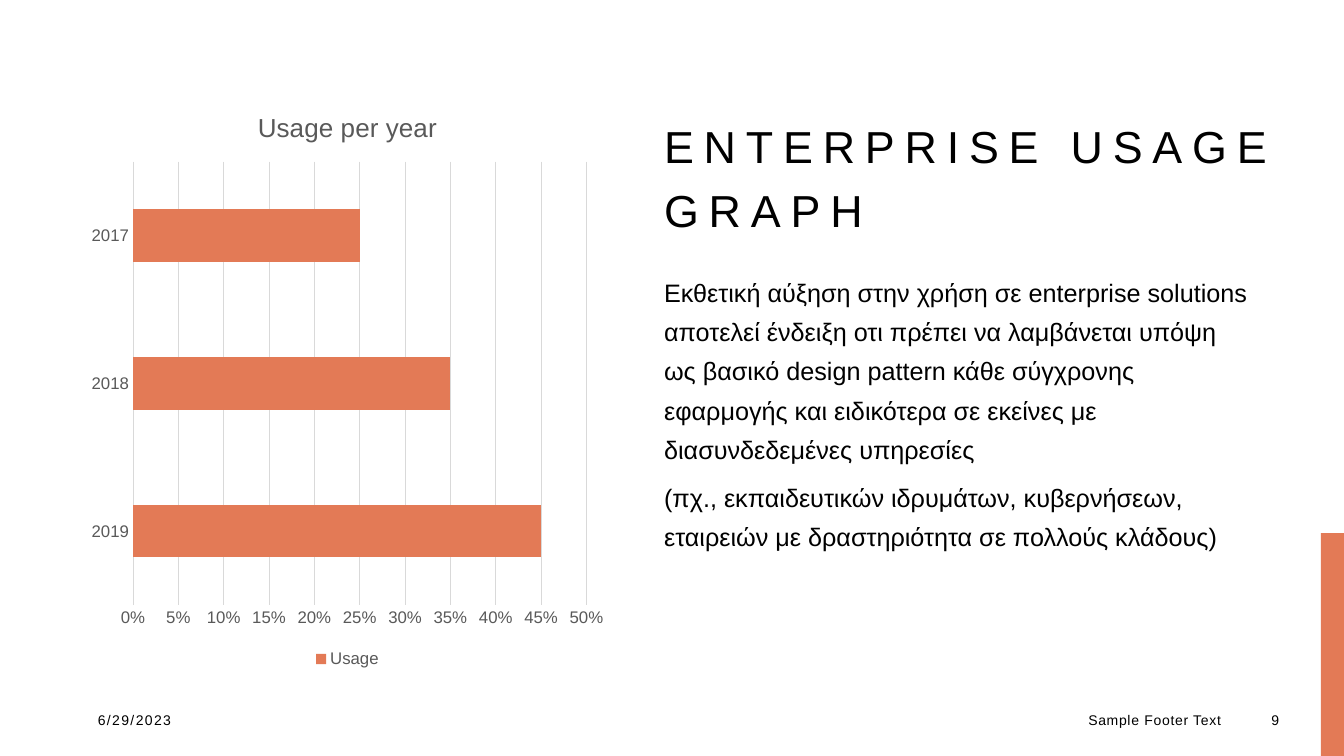
from dataclasses import dataclass

from lxml import etree
from pptx import Presentation
from pptx import util as u
from pptx.chart import data
from pptx.dml.color import RGBColor
from pptx.enum import chart as ch, shapes, text
from pptx.oxml.ns import qn

HEADING = "ENTERPRISE USAGE GRAPH"
EXPLANATION = [
    "Εκθετική αύξηση στην χρήση σε enterprise solutions αποτελεί ένδειξη οτι "
    "πρέπει να λαμβάνεται υπόψη ως βασικό design pattern κάθε σύγχρονης "
    "εφαρμογής και ειδικότερα σε εκείνες με διασυνδεδεμένες υπηρεσίες",
    "(πχ., εκπαιδευτικών ιδρυμάτων, κυβερνήσεων, εταιρειών με δραστηριότητα "
    "σε πολλούς κλάδους)",
]
USAGE_TITLE = "Usage per year"
USAGE_NAME = "Usage"
USAGE = {"2019": 0.45, "2018": 0.35, "2017": 0.25}
FOOTERS = [
    ("6/29/2023", 88, 302, text.PP_ALIGN.LEFT, 100),
    ("Sample Footer Text", 849, 382, text.PP_ALIGN.RIGHT, 50),
    ("9", 1231, 58, text.PP_ALIGN.RIGHT, 100),
]
FOOTER_TOP, FOOTER_HEIGHT = 700, 40
SLIDE_SIZE = (1344, 756)
HEADING_BOX = (654, 88, 647, 154)
EXPLANATION_BOX = (654, 263, 609, 414)
USAGE_BOX = (81, 88, 533, 584)
ACCENT_BOX = (1321, 533, 23, 223)


@dataclass(frozen=True)
class Theme:
    font: str = "Arial"
    ink: RGBColor = RGBColor(0, 0, 0)
    muted: RGBColor = RGBColor(0x59, 0x59, 0x59)
    grid: RGBColor = RGBColor(0xD9, 0xD9, 0xD9)
    accent: RGBColor = RGBColor(0xE3, 0x7A, 0x56)
    heading: float = 32
    body: float = 18
    footer: float = 10
    chart_title: float = 18.6
    chart_label: float = 12


THEME = Theme()


def px(*lengths):
    return [u.Emu(round(n * 914400 / 100.8)) for n in lengths]


def style(font, size, color):
    font.name = THEME.font
    font.size = u.Pt(size)
    font.bold = False
    font.color.rgb = color


def place(part, box):
    part.left, part.top, part.width, part.height = px(*box)


def style_paragraph(paragraph, size, spacing=0, line=1.0, after=6, align=text.PP_ALIGN.LEFT):
    paragraph.alignment = align
    paragraph.line_spacing = line
    paragraph.space_before = u.Pt(0)
    paragraph.space_after = u.Pt(after)
    for run in paragraph.runs:
        style(run.font, size, THEME.ink)
        run.font._element.set("spc", str(spacing))


def add_accent(slide):
    accent = slide.shapes.add_shape(shapes.MSO_SHAPE.RECTANGLE, *px(*ACCENT_BOX))
    accent.shadow.inherit = False
    accent.fill.solid()
    accent.fill.fore_color.rgb = THEME.accent
    accent.line.fill.background()


def fill_heading(heading):
    place(heading, HEADING_BOX)
    frame = heading.text_frame
    frame.text = HEADING
    frame.auto_size = text.MSO_AUTO_SIZE.NONE
    frame.vertical_anchor = text.MSO_ANCHOR.BOTTOM
    style_paragraph(frame.paragraphs[0], THEME.heading, 700, 1.2, 0)


def fill_explanation(explanation):
    place(explanation, EXPLANATION_BOX)
    frame = explanation.text_frame
    frame.text = "\n".join(EXPLANATION)
    frame.auto_size = text.MSO_AUTO_SIZE.NONE
    frame.vertical_anchor = text.MSO_ANCHOR.TOP
    for paragraph in frame.paragraphs:
        style_paragraph(paragraph, THEME.body, line=1.3)
        properties = paragraph._p.get_or_add_pPr()
        properties.set("marL", "0")
        properties.set("indent", "0")
        etree.SubElement(properties, qn("a:buNone"))


def add_footers(slide):
    for words, left, width, align, spacing in FOOTERS:
        footer = slide.shapes.add_textbox(*px(left, FOOTER_TOP, width, FOOTER_HEIGHT))
        frame = footer.text_frame
        frame.word_wrap = True
        frame.vertical_anchor = text.MSO_ANCHOR.MIDDLE
        frame.text = words
        style_paragraph(frame.paragraphs[0], THEME.footer, spacing, align=align)


def add_usage(slide):
    figures = data.CategoryChartData(number_format="0%")
    figures.categories = list(USAGE)
    figures.add_series(USAGE_NAME, list(USAGE.values()))
    usage = slide.shapes.add_chart(
        ch.XL_CHART_TYPE.BAR_CLUSTERED, *px(*USAGE_BOX), figures
    ).chart
    style(usage.font, THEME.chart_label, THEME.muted)

    usage.has_title = True
    usage.chart_title.include_in_layout = False
    usage.chart_title.text_frame.text = USAGE_TITLE
    title_run = usage.chart_title.text_frame.paragraphs[0].runs[0]
    style(title_run.font, THEME.chart_title, THEME.muted)

    usage.has_legend = True
    usage.legend.position = ch.XL_LEGEND_POSITION.BOTTOM
    usage.legend.include_in_layout = False
    style(usage.legend.font, THEME.chart_label, THEME.muted)

    bars = usage.plots[0]
    bars.gap_width = 182
    bars.vary_by_categories = False
    bars.series[0].format.fill.solid()
    bars.series[0].format.fill.fore_color.rgb = THEME.accent

    years, shares = usage.category_axis, usage.value_axis
    for axis in (years, shares):
        axis.major_tick_mark = ch.XL_TICK_MARK.NONE
        axis.minor_tick_mark = ch.XL_TICK_MARK.NONE
        style(axis.tick_labels.font, THEME.chart_label, THEME.muted)
    shares.minimum_scale, shares.maximum_scale, shares.major_unit = 0, 0.5, 0.05
    shares.tick_labels.number_format = "0%"
    shares.tick_labels.number_format_is_linked = False
    shares.format.line.fill.background()
    shares.has_major_gridlines = True
    for line in (years.format.line, shares.major_gridlines.format.line):
        line.color.rgb = THEME.grid
        line.width = u.Pt(0.75)


def main():
    deck = Presentation()
    deck.slide_width, deck.slide_height = px(*SLIDE_SIZE)
    slide = deck.slides.add_slide(deck.slide_layouts[1])
    add_accent(slide)
    fill_heading(slide.shapes.title)
    fill_explanation(slide.placeholders[1])
    add_footers(slide)
    add_usage(slide)
    deck.save("out.pptx")


if __name__ == "__main__":
    main()
